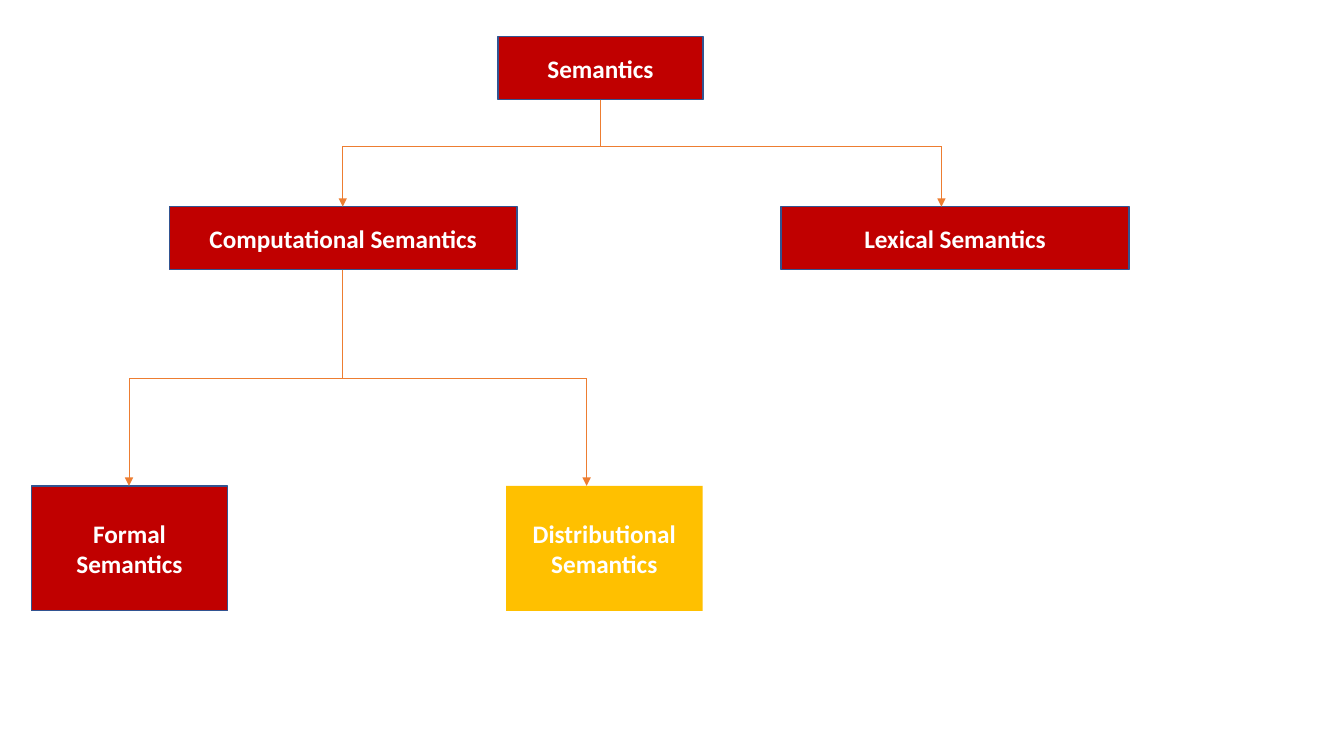
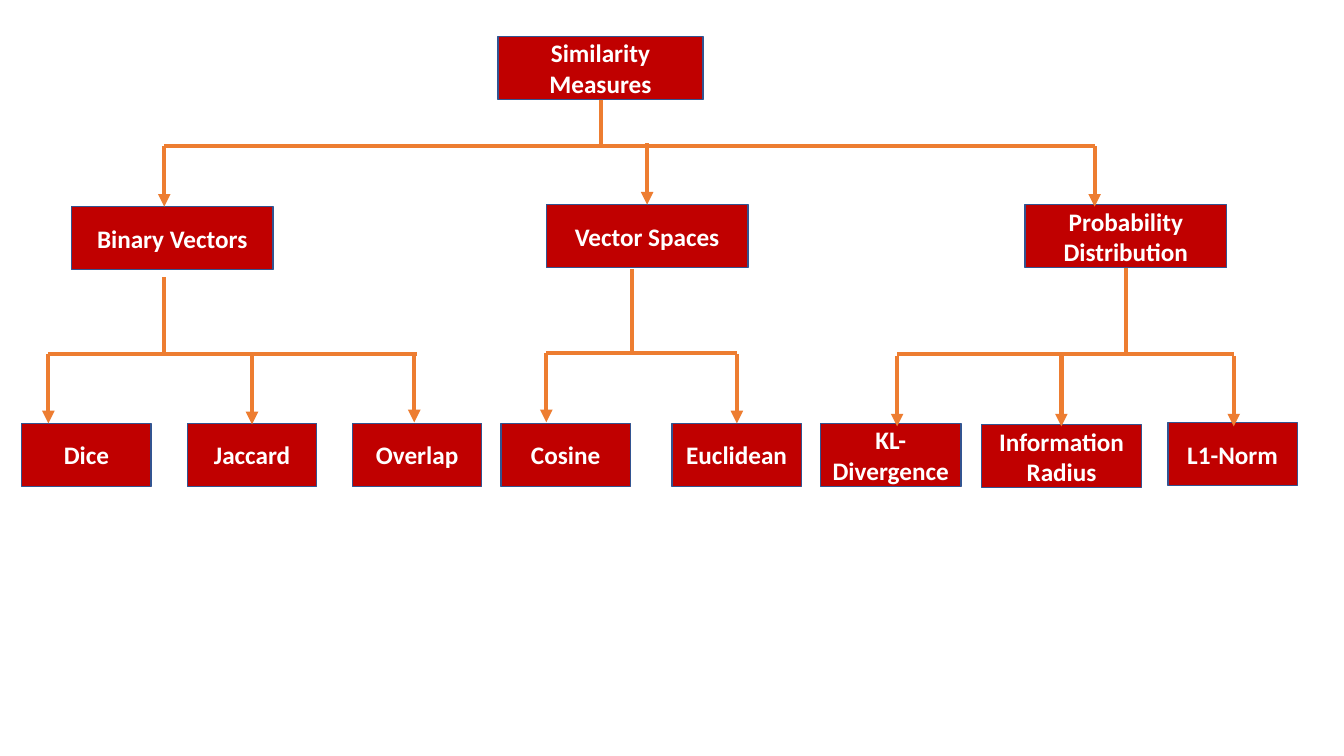
from lxml.etree import SubElement
from pptx import Presentation
from pptx.dml.color import RGBColor
from pptx.enum.shapes import MSO_CONNECTOR, MSO_SHAPE
from pptx.enum.text import MSO_ANCHOR, PP_ALIGN
from pptx.oxml.ns import qn
from pptx.util import Inches, Pt

COLOURS = {
    "topic": "C00000",
    "highlight": "FFC000",
    "border": "325491",
    "branch": "ED7D31",
    "label": "FFFFFF",
}
SLIDE_WIDTH, SLIDE_HEIGHT = 12192000, Inches(7.5)
COLUMN, ROW = SLIDE_WIDTH / 40, SLIDE_HEIGHT / 30
BOX_ROWS = 2.5
ROOT_LEFT, ROOT_TOP, ROOT_COLUMNS = 14.82, 1.45, 6.1
ROOT_STEM = (17.88, 3.95)
ROOT_BAR_ROW = 5.8
THIN, THICK = 0.5, 3


def colour(name):
    return RGBColor.from_string(COLOURS[name])


def columns(count):
    return round(count * COLUMN)


def rows(count):
    return round(count * ROW)


def add_topic(slide, label, left, top, width, height=BOX_ROWS, highlighted=False):
    box = slide.shapes.add_shape(
        MSO_SHAPE.RECTANGLE, columns(left), rows(top), columns(width), rows(height)
    )
    box.shadow.inherit = False
    box.fill.solid()
    box.fill.fore_color.rgb = colour("highlight" if highlighted else "topic")
    if highlighted:
        box.line.fill.background()
    else:
        box.line.color.rgb = colour("border")
        box.line.width = Pt(1)
    frame = box.text_frame
    frame.word_wrap = True
    frame.vertical_anchor = MSO_ANCHOR.MIDDLE
    paragraph = frame.paragraphs[0]
    paragraph.text = label
    paragraph.alignment = PP_ALIGN.CENTER
    paragraph.font.name = "Calibri"
    paragraph.font.size = Pt(18)
    paragraph.font.bold = True
    paragraph.font.color.rgb = colour("label")


def add_root(slide, label):
    add_topic(slide, label, ROOT_LEFT, ROOT_TOP, ROOT_COLUMNS)


def add_line(slide, start, end, weight, arrow=False):
    line = slide.shapes.add_connector(
        MSO_CONNECTOR.STRAIGHT,
        columns(start[0]), rows(start[1]), columns(end[0]), rows(end[1]),
    )
    line.line.color.rgb = colour("branch")
    line.line.width = Pt(weight)
    properties = line.element.spPr
    if arrow:
        SubElement(properties.find(qn("a:ln")), qn("a:tailEnd"), type="triangle")
    SubElement(properties, qn("a:effectLst"))


def add_branch(slide, stem, bar, arrows, weight):
    left, right, bar_row = bar
    add_line(slide, stem, (stem[0], bar_row), weight)
    add_line(slide, (left, bar_row), (right, bar_row), weight)
    for column, start, tip in arrows:
        add_line(slide, (column, start), (column, tip), weight, arrow=True)


def build_semantics(slide):
    field_top, approach_top, approach_bar = 8.2, 19.28, 15
    add_root(slide, "Semantics")
    for label, left in (("Computational Semantics", 5.04), ("Lexical Semantics", 23.25)):
        add_topic(slide, label, left, field_top, 10.35)
    for label, left, highlighted in (
        ("Formal Semantics", 0.93, False),
        ("Distributional Semantics", 15.06, True),
    ):
        add_topic(slide, label, left, approach_top, 5.85, 4.96, highlighted)
    for stem, bar_row, ends, tip in (
        (ROOT_STEM, ROOT_BAR_ROW, (10.2, 28.02), field_top),
        ((10.2, 10.7), approach_bar, (3.84, 17.46), approach_top),
    ):
        arrows = [(end, bar_row, tip) for end in ends]
        add_branch(slide, stem, (*ends, bar_row), arrows, THIN)


def build_similarity(slide):
    add_root(slide, "Similarity Measures")
    for label, left, top in (
        ("Binary Vectors", 2.13, 8.2),
        ("Vector Spaces", 16.26, 8.12),
        ("Probability Distribution", 30.51, 8.12),
    ):
        add_topic(slide, label, left, top, 6)
    for label, left, top, width in (
        ("Dice", 0.65, 16.8, 3.85),
        ("Jaccard", 5.58, 16.8, 3.85),
        ("Overlap", 10.49, 16.8, 3.85),
        ("Cosine", 14.91, 16.8, 3.85),
        ("Euclidean", 20, 16.8, 3.85),
        ("KL-Divergence", 24.42, 16.8, 4.18),
        ("Information Radius", 29.22, 16.85, 4.75),
        ("L1-Norm", 34.76, 16.78, 3.85),
    ):
        add_topic(slide, label, left, top, width)
    for stem, bar, arrows in (
        (ROOT_STEM, (4.89, 32.58, ROOT_BAR_ROW),
         ((4.89, 5.8, 8.2), (19.26, 5.68, 8.12), (32.58, 5.8, 8.2))),
        ((4.89, 11), (1.44, 12.42, 14.04),
         ((1.44, 14.04, 16.8), (7.5, 14.04, 16.84), (12.33, 14, 16.76))),
        ((18.81, 10.68), (16.26, 21.93, 14),
         ((16.26, 14, 16.76), (21.93, 14.04, 16.8))),
        ((33.51, 10.64), (26.7, 36.72, 14.04),
         [(column, 14.12, 16.92) for column in (26.7, 31.59, 36.72)]),
    ):
        add_branch(slide, stem, bar, arrows, THICK)


def main():
    presentation = Presentation()
    presentation.slide_width = SLIDE_WIDTH
    presentation.slide_height = SLIDE_HEIGHT
    blank = presentation.slide_layouts[6]
    for build in (build_semantics, build_similarity):
        build(presentation.slides.add_slide(blank))
    presentation.save("out.pptx")


main()
